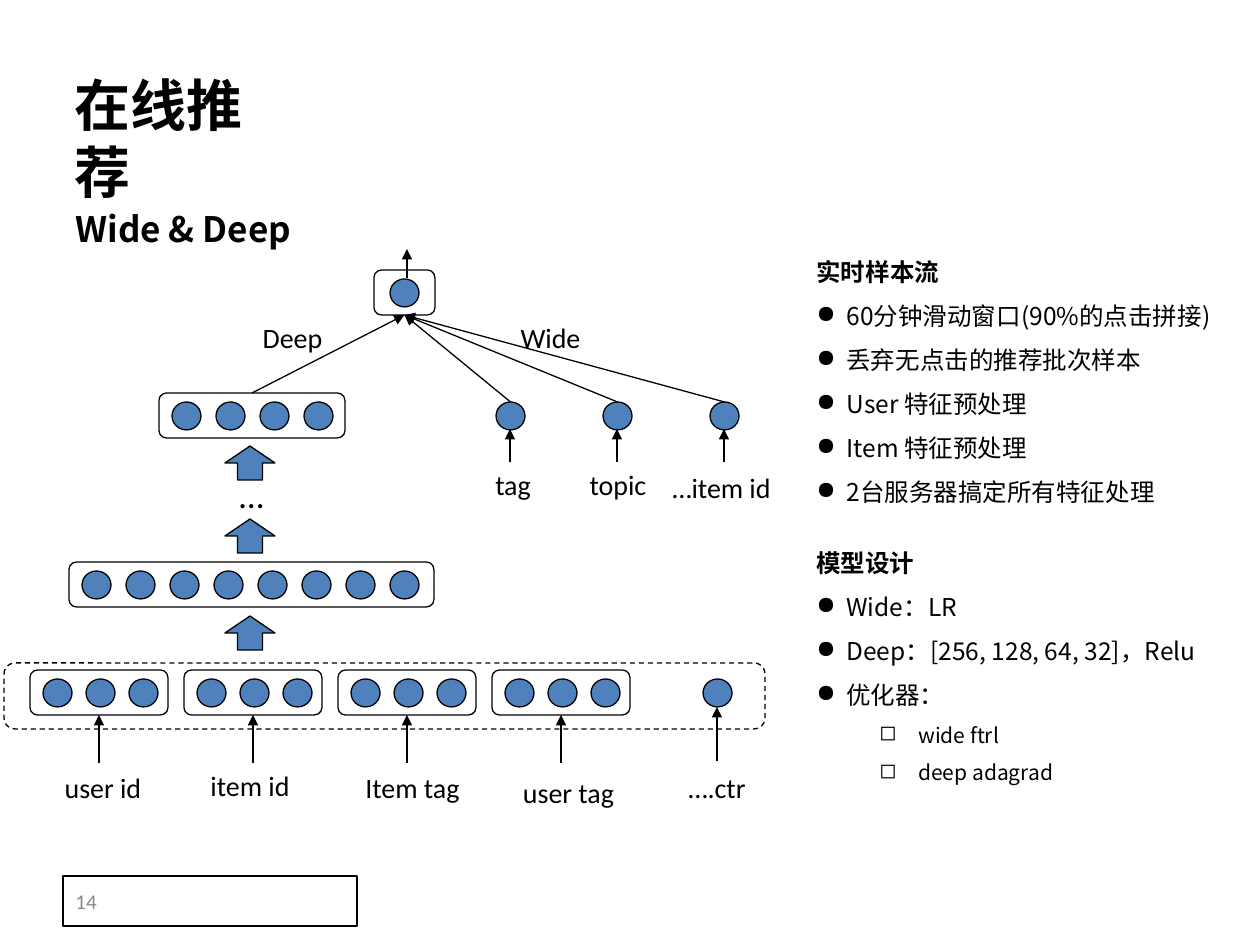
from dataclasses import dataclass

from lxml import etree
from pptx import Presentation
from pptx.dml.color import RGBColor
from pptx.enum.dml import MSO_LINE
from pptx.enum.shapes import MSO_CONNECTOR, MSO_SHAPE
from pptx.enum.text import MSO_ANCHOR, MSO_AUTO_SIZE, PP_ALIGN
from pptx.oxml.ns import qn
from pptx.util import Emu, Pt

PX = 914400 / 126
BLACK = RGBColor(0x00, 0x00, 0x00)
WHITE = RGBColor(0xFF, 0xFF, 0xFF)
GREY = RGBColor(0x89, 0x89, 0x89)
BLUE = RGBColor(0x4F, 0x81, 0xBD)
LATIN = "Calibri"
CJK = "Noto Sans CJK SC"
RECT, ROUND = MSO_SHAPE.RECTANGLE, MSO_SHAPE.ROUNDED_RECTANGLE
OVAL, UP_ARROW = MSO_SHAPE.OVAL, MSO_SHAPE.UP_ARROW
STRAIGHT, DASH = MSO_CONNECTOR.STRAIGHT, MSO_LINE.DASH
CENTER, LEFT, MIDDLE = PP_ALIGN.CENTER, PP_ALIGN.LEFT, MSO_ANCHOR.MIDDLE
GROW = MSO_AUTO_SIZE.SHAPE_TO_FIT_TEXT
TOP, BOTTOM = 0, 2
NODE_W, NODE_H, LAYER_H, LABEL_H = 29, 28, 45, 47


@dataclass
class Layer:
    x: int
    y: int
    w: int
    nodes: int
    step: int = 44
    pad: int = 13


@dataclass
class Label:
    text: str
    x: int
    y: int
    w: int
    h: int = LABEL_H
    size: int = 16


@dataclass
class Item:
    text: str
    size: int = 14
    bold: bool = False
    bullet: str = ""
    margin: int = 0
    hang: int = 0
    level: int = 0


def heading(text: str) -> Item:
    return Item(text, bold=True)


def point(text: str) -> Item:
    return Item(text, bullet="●", margin=30, hang=30)


def subpoint(text: str) -> Item:
    return Item(text, size=12, bullet="◻", margin=102, hang=39, level=1)


def px(n: float) -> Emu:
    return Emu(round(n * PX))


def add_run(p, text: str, size: int, font: str, color=BLACK, bold=False) -> None:
    r = p.add_run()
    r.text = text
    r.font.size, r.font.bold = Pt(size), bold
    r.font.color.rgb = color
    r.font.name = font
    etree.SubElement(r.font._element, qn("a:ea")).set("typeface", font)


def add_box(s, kind, x: int, y: int, w: int, h: int, fill=None):
    sp = s.shapes.add_shape(kind, px(x), px(y), px(w), px(h))
    sp.shadow.inherit = False
    if fill is None:
        sp.fill.background()
    else:
        sp.fill.solid()
        sp.fill.fore_color.rgb = fill
    sp.line.color.rgb, sp.line.width = BLACK, Pt(0.75)
    return sp


def add_node(s, x: int, y: int):
    return add_box(s, OVAL, x, y, NODE_W, NODE_H, BLUE)


def add_layer(s, layer: Layer):
    sp = add_box(s, ROUND, layer.x, layer.y, layer.w, LAYER_H)
    for i in range(layer.nodes):
        add_node(s, layer.x + layer.pad + i * layer.step, layer.y + 9)
    return sp


def add_arrow(s, x1: int, y1: int, x2: int, y2: int, begin=None, end=None) -> None:
    c = s.shapes.add_connector(STRAIGHT, px(x1), px(y1), px(x2), px(y2))
    if begin is not None:
        c.begin_connect(begin, TOP)
    if end is not None:
        c.end_connect(end, BOTTOM)
    c.line.color.rgb, c.line.width = BLACK, Pt(0.75)
    etree.SubElement(c.line._get_or_add_ln(), qn("a:tailEnd")).set("type", "triangle")
    etree.SubElement(c._element.spPr, qn("a:effectLst"))


def add_textbox(s, x: int, y: int, w: int, h: int, wrap=True):
    tf = s.shapes.add_textbox(px(x), px(y), px(w), px(h)).text_frame
    tf.word_wrap, tf.auto_size = wrap, GROW
    return tf


def add_label(s, label: Label) -> None:
    p = add_textbox(s, label.x, label.y, label.w, label.h).paragraphs[0]
    p.alignment = CENTER
    add_run(p, label.text, label.size, LATIN)


def add_list(s, x: int, y: int, w: int, h: int, items: list[Item]) -> None:
    tf = add_textbox(s, x, y, w, h)
    for i, item in enumerate(items):
        p = tf.add_paragraph() if i else tf.paragraphs[0]
        p.level, p.line_spacing = item.level, 1.5
        if item.bullet:
            pPr = p._p.get_or_add_pPr()
            pPr.set("marL", str(px(item.margin)))
            pPr.set("indent", str(-px(item.hang)))
            color = etree.SubElement(pPr, qn("a:buClr"))
            etree.SubElement(color, qn("a:srgbClr")).set("val", str(BLACK))
            etree.SubElement(pPr, qn("a:buChar")).set("char", item.bullet)
        add_run(p, item.text, item.size, CJK, bold=item.bold)


prs = Presentation()
prs.slide_width, prs.slide_height = px(1260), px(945)
s = prs.slides.add_slide(prs.slide_layouts[6])

# Title, subtitle and page number
add_run(add_textbox(s, 62, 64, 249, 81, wrap=False).paragraphs[0], "在线推荐", 32, CJK, bold=True)
add_list(s, 63, 180, 338, 76, [Item("Wide & Deep", size=20, bold=True)])
page = add_box(s, RECT, 63, 876, 294, 50, WHITE).text_frame
page.vertical_anchor = MIDDLE
page.paragraphs[0].alignment = LEFT
add_run(page.paragraphs[0], "14", 12, LATIN, GREY)

# Input features
add_box(s, ROUND, 4, 663, 761, 66).line.dash_style = DASH
for i in range(4):
    x = 30 + 154 * i
    field = add_layer(s, Layer(x, 670, 138, 3, step=43))
    add_arrow(s, x + 69, 763, x + 69, 715, end=field)
add_node(s, 703, 679)
add_arrow(s, 717, 761, 717, 707)

# Deep part and output
add_layer(s, Layer(69, 562, 365, 8))
deep = add_layer(s, Layer(159, 393, 186, 4))
output = add_layer(s, Layer(374, 270, 61, 1, pad=16))
for y in (616, 519, 446):
    add_box(s, UP_ARROW, 225, y, 50, 34, BLUE)
add_arrow(s, 407, 278, 407, 249)
add_arrow(s, 252, 393, 404, 315, deep, output)

# Wide part
for i in range(3):
    x = 496 + 107 * i
    node = add_node(s, x, 402)
    add_arrow(s, x + 14, 462, x + 14, 429)
    add_arrow(s, x + 14, 402, 404, 315, node, output)

# Labels
for label in (
    Label("user id", 52, 764, 102),
    Label("item id", 197, 762, 106),
    Label("Item tag", 343, 764, 139),
    Label("user tag", 483, 769, 171),
    Label("….ctr", 675, 764, 84),
    Label("tag", 467, 461, 92),
    Label("topic", 570, 461, 96),
    Label("…item id", 654, 464, 135),
    Label("Deep", 207, 314, 171),
    Label("Wide", 465, 314, 171),
    Label("…", 166, 467, 171, 55, 20),
):
    add_label(s, label)

# Notes on the right
add_list(s, 804, 236, 449, 277, [
    heading("实时样本流"),
    point("60分钟滑动窗口(90%的点击拼接)"),
    point("丢弃无点击的推荐批次样本"),
    point("User 特征预处理"),
    point("Item 特征预处理"),
    point("2台服务器搞定所有特征处理"),
])
add_list(s, 804, 527, 456, 302, [
    heading("模型设计"),
    point("Wide：LR"),
    point("Deep：[256, 128, 64, 32]，Relu"),
    point("优化器："),
    subpoint("wide ftrl"),
    subpoint("deep adagrad"),
])

prs.save("out.pptx")
